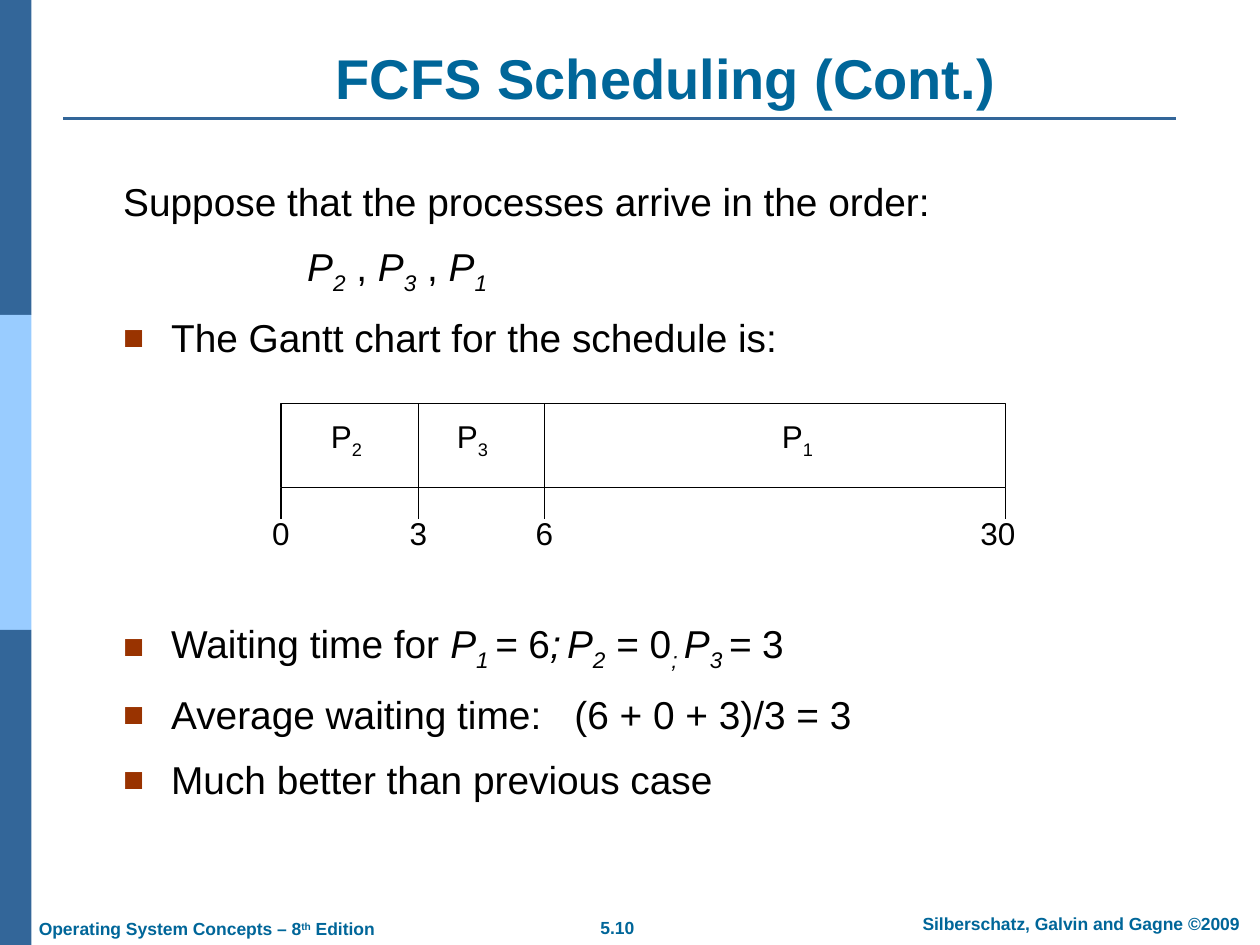
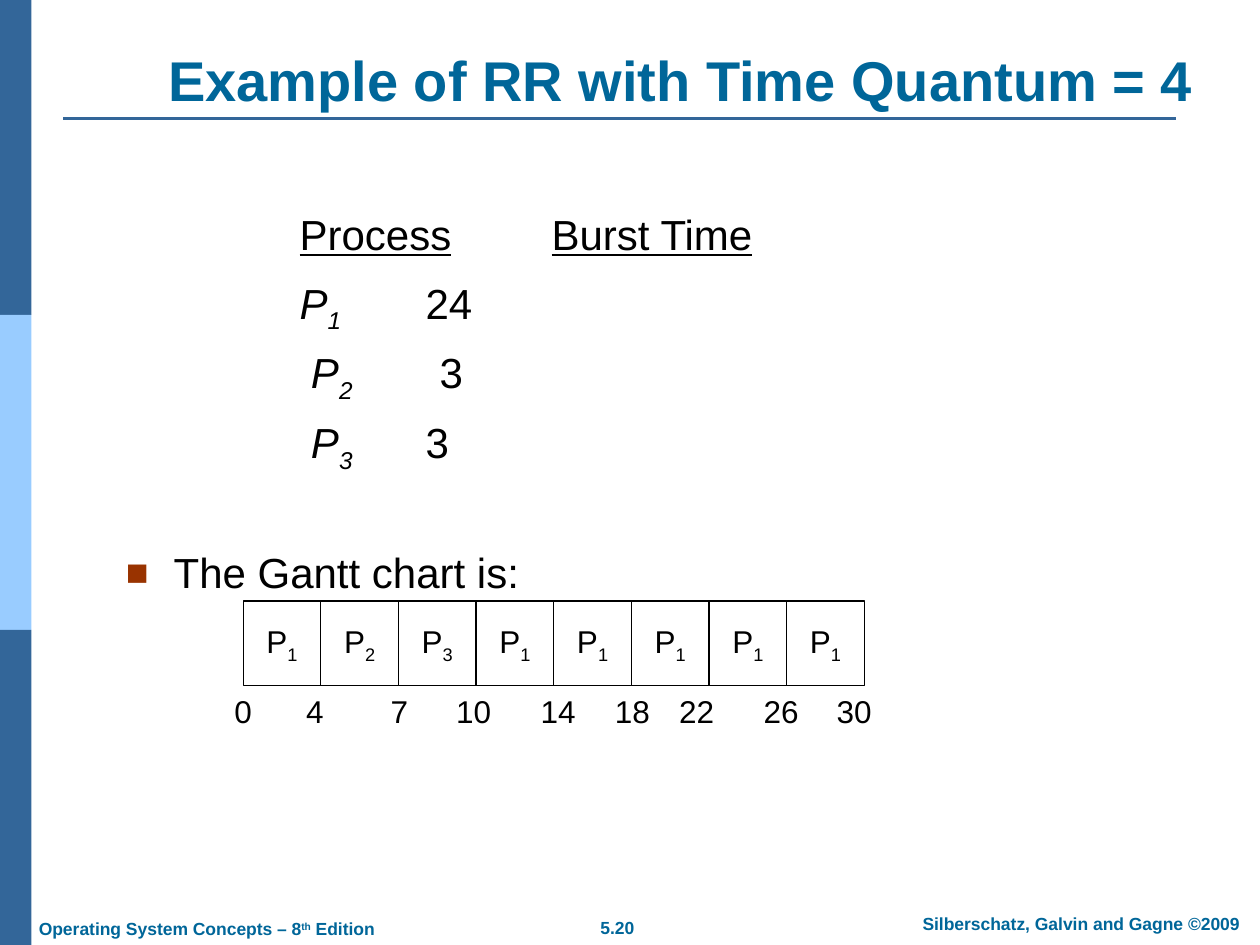
from lxml.etree import SubElement
from pptx import Presentation
from pptx.dml.color import RGBColor
from pptx.enum.shapes import MSO_CONNECTOR, MSO_SHAPE
from pptx.enum.text import MSO_ANCHOR, PP_ALIGN
from pptx.oxml.ns import qn
from pptx.util import Inches, Pt

COLORS = {
    "band": "336699",
    "band_light": "99CCFF",
    "heading": "006699",
    "bullet": "993300",
    "ink": "000000",
    "paper": "FFFFFF",
}
FONT = "Arial"
BASELINES = {"_": "-25000", "^": "30000"}


def color(name):
    return RGBColor.from_string(COLORS[name])


# ---- Text ----

def process(number, style="i"):
    return [("P", style), (number, style + "_")]


def add_spans(para, spans, size, ink="ink", bold=False):
    """Style letters: i italic, u underlined, _ subscript, ^ superscript, w wide gap."""
    for text, style in spans:
        span = para.add_run()
        span.text = text
        font = span.font
        font.name, font.size, font.bold = FONT, Pt(size), bold
        font.color.rgb = color(ink)
        font.italic = "i" in style
        font.underline = "u" in style
        properties = span._r.get_or_add_rPr()
        for mark, shift in BASELINES.items():
            if mark in style:
                properties.set("baseline", shift)
        if "w" in style:
            properties.set("spc", str(round(size * 56)))


def add_text_box(page, box, anchor=MSO_ANCHOR.TOP, wrap=True):
    frame = page.shapes.add_textbox(*map(Inches, box)).text_frame
    frame.word_wrap = wrap
    frame.vertical_anchor = anchor
    return frame


def add_line_of_text(page, box, spans, size, ink="ink", bold=False,
                     align=PP_ALIGN.CENTER, anchor=MSO_ANCHOR.MIDDLE):
    para = add_text_box(page, box, anchor, wrap=False).paragraphs[0]
    para.alignment = align
    add_spans(para, spans, size, ink, bold)


def add_centered_label(page, center, top, spans):
    add_line_of_text(page, (center - 0.4, top, 0.8, 0.4), spans, 18)


def next_paragraph(frame, index):
    return frame.add_paragraph() if index else frame.paragraphs[0]


def set_left_margin(para, left):
    properties = para._p.get_or_add_pPr()
    properties.set("marL", str(Inches(left)))
    return properties


def add_bullet(para):
    properties = set_left_margin(para, 0.38)
    properties.set("indent", str(Inches(-0.38)))
    bullet_color = SubElement(properties, qn("a:buClr"))
    SubElement(bullet_color, qn("a:srgbClr"), val=COLORS["bullet"])
    SubElement(properties, qn("a:buSzPct"), val="90000")
    SubElement(properties, qn("a:buFont"), typeface=FONT)
    SubElement(properties, qn("a:buChar"), char="■")


def add_tab(para, position):
    properties = para._p.get_or_add_pPr()
    distance = str(Inches(position))
    properties.set("defTabSz", distance)
    tabs = SubElement(properties, qn("a:tabLst"))
    SubElement(tabs, qn("a:tab"), pos=distance, algn="l")


# ---- Shapes ----

def add_rectangle(page, box, fill, line=None):
    shape = page.shapes.add_shape(MSO_SHAPE.RECTANGLE, *map(Inches, box))
    shape.shadow.inherit = False
    shape.fill.solid()
    shape.fill.fore_color.rgb = color(fill)
    if line:
        shape.line.color.rgb = color(line)
        shape.line.width = Pt(0.75)
    else:
        shape.line.fill.background()
    return shape


def add_rule(page, start, end, ink="ink", width=0.75):
    rule = page.shapes.add_connector(
        MSO_CONNECTOR.STRAIGHT, *map(Inches, (*start, *end)))
    rule.line.color.rgb = color(ink)
    rule.line.width = Pt(width)
    SubElement(rule._element.spPr, qn("a:effectLst"))


# ---- Parts shared by all pages ----

def add_page(deck, title, title_box, number):
    page = deck.slides.add_slide(deck.slide_layouts[6])
    # Side bands and title rule
    for row, fill in enumerate(("band", "band_light", "band")):
        add_rectangle(page, (0, row * 2.5, 0.25, 2.5), fill)
    add_rule(page, (0.5, 0.94), (9.33, 0.94), "band", 1.5)
    # Footers
    edition = [("Operating System Concepts – 8", ""), ("th", "^"), (" Edition", "")]
    footers = (
        ((0.21, 7.24, 3.4, 0.26), edition, PP_ALIGN.LEFT),
        ((4.41, 7.23, 0.98, 0.27), [(number, "")], PP_ALIGN.CENTER),
        ((7.16, 7.2, 2.84, 0.27), [("Silberschatz, Galvin and Gagne ©2009", "")],
         PP_ALIGN.CENTER),
    )
    for box, spans, align in footers:
        add_line_of_text(page, box, spans, 10, "heading", True, align, MSO_ANCHOR.TOP)
    # Title
    add_line_of_text(page, title_box, [(title, "")], 32, "heading", True,
                     anchor=MSO_ANCHOR.BOTTOM)
    return page


def add_time_marks(page, left, top, marks):
    for time, center in marks:
        add_centered_label(page, left + center, top, [(time, "")])


# ---- FCFS page ----

def add_fcfs_text(page, box):
    waiting = [
        ("Waiting time for ", ""), ("P", "i"), ("1 ", "i_"), ("=", "i"), (" 6", ""),
        (";", "i"), (" ", "i_"), ("P", "i"), ("2", "i_"), (" = 0", ""),
        ("; ", "i_"), ("P", "i"), ("3 ", "i_"), ("= ", "i"), ("3", ""),
    ]
    comma = [(" , ", "")]
    order = process("2") + comma + process("3") + comma + process("1")
    average = [("Average waiting time:", ""), (" ", "w"), ("(6 + 0 + 3)/3 = 3", "")]
    # Left margin (None for a bullet), space before, spans
    lines = (
        (0, 0, [("Suppose that the processes arrive in the order:", "")]),
        (1.46, 10.5, order),
        (None, 10.5, [("The Gantt chart for the schedule is:", "")]),
        (None, 148, waiting),
        (None, 10.5, average),
        (None, 10.5, [("Much better than previous case", "")]),
    )
    frame = add_text_box(page, box)
    for index, (left, gap, spans) in enumerate(lines):
        para = next_paragraph(frame, index)
        if left is None:
            add_bullet(para)
        else:
            set_left_margin(para, left)
        para.space_before = Pt(gap)
        add_spans(para, spans, 22.2)


def add_fcfs_gantt(page, box):
    left, top, width, height = box
    bottom = top + height
    add_rectangle(page, box, "paper", "ink")
    # Dividers and ticks
    for offset in (0, 1.09, 2.09, width):
        x = left + offset
        if 0 < offset < width:
            add_rule(page, (x, top), (x, bottom))
        add_rule(page, (x, bottom), (x, bottom + 0.25))
    # Process names
    for number, center in (("2", 0.52), ("3", 1.52), ("1", 4.1)):
        add_centered_label(page, left + center, top + 0.08, process(number, ""))
    add_time_marks(page, left, bottom + 0.16,
                   (("0", 0), ("3", 1.09), ("6", 2.09), ("30", 5.69)))


def build_fcfs_page(deck):
    page = add_page(deck, "FCFS Scheduling (Cont.)", (1.07, 0.3, 8.43, 0.63), "5.10")
    add_fcfs_text(page, (0.88, 1.36, 9, 4.96))
    add_fcfs_gantt(page, (2.23, 3.2, 5.75, 0.67))


# ---- Round robin page ----

def add_burst_times(page, box):
    # Left margin, tab position, spans
    rows = (
        (0, 2, [("Process", "u"), ("\t", ""), ("Burst Time", "u")]),
        (0, 1, process("1") + [("\t24", "")]),
        (0.09, 1.02, process("2") + [("\t3", "")]),
        (0.09, 0.91, process("3") + [("\t3", "")]),
    )
    frame = add_text_box(page, box)
    for index, (left, tab, spans) in enumerate(rows):
        para = next_paragraph(frame, index)
        set_left_margin(para, left)
        add_tab(para, tab)
        para.line_spacing = 0.9
        para.space_before = Pt(10.5 if index else 0)
        add_spans(para, spans, 24)


def add_gantt_caption(page, box):
    para = add_text_box(page, box).paragraphs[0]
    add_bullet(para)
    para.line_spacing = 0.9
    add_spans(para, [("The Gantt chart is:", "")], 24)


def add_round_robin_gantt(page, box):
    left, top, width, height = box
    turns = "12311111"
    cell_width = width / len(turns)
    for index, number in enumerate(turns):
        cell = add_rectangle(
            page, (left + index * cell_width, top, cell_width, height), "paper", "ink")
        frame = cell.text_frame
        frame.word_wrap = False
        frame.vertical_anchor = MSO_ANCHOR.MIDDLE
        para = frame.paragraphs[0]
        para.alignment = PP_ALIGN.CENTER
        add_spans(para, process(number, ""), 18)
    marks = (("0", 0), ("4", 0.57), ("7", 1.24), ("10", 1.83), ("14", 2.5),
             ("18", 3.09), ("22", 3.6), ("26", 4.27), ("30", 4.85))
    add_time_marks(page, left, top + height, marks)


def build_round_robin_page(deck):
    page = add_page(deck, "Example of RR with Time Quantum = 4",
                    (1, 0.02, 8.81, 0.92), "5.20")
    add_burst_times(page, (2.28, 1.65, 5, 2.3))
    add_gantt_caption(page, (0.9, 4.33, 8.04, 0.42))
    add_round_robin_gantt(page, (1.93, 4.77, 4.93, 0.67))


def main():
    deck = Presentation()
    deck.slide_width, deck.slide_height = Inches(10), Inches(7.5)
    build_fcfs_page(deck)
    build_round_robin_page(deck)
    deck.save("out.pptx")


if __name__ == "__main__":
    main()
